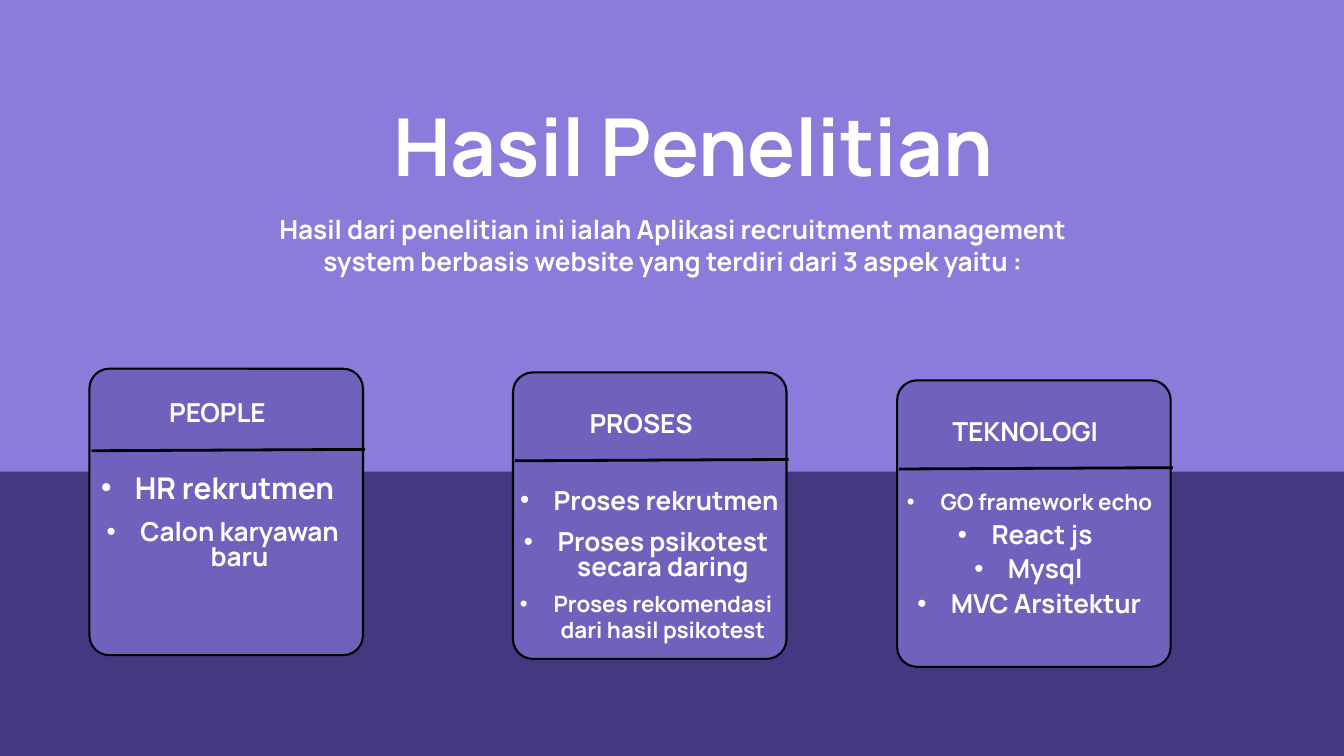
import lxml.etree
import pptx
import pptx.dml.color
import pptx.enum.shapes
import pptx.enum.text
import pptx.oxml.ns
import pptx.util

Cm = pptx.util.Cm
Pt = pptx.util.Pt
qn = pptx.oxml.ns.qn

COLORS = {
    "background": "8B7BDB",
    "band": "443880",
    "card": "7061BD",
    "outline": "000000",
    "text": "FFFFFF",
}
PAGE_WIDTH, PAGE_HEIGHT = 50.8, 28.58
BAND_TOP = 17.83
CARD_WIDTH, CARD_HEIGHT, CARD_RADIUS = 10.34, 10.83, 0.75

CARDS = [
    {
        "label": "PEOPLE", "left": 3.38, "top": 13.94,
        "label_top": 15.06, "rule_top": 17.04,
        "items": [
            ("HR rekrutmen", 32, 3.58, 18.14, 9.3, 1.04),
            ("Calon karyawan baru", 28, 3.05, 19.71, 10.74, 2.01),
        ],
    },
    {
        "label": "PROSES", "left": 19.39, "top": 14.08,
        "label_top": 15.47, "rule_top": 17.42,
        "items": [
            ("Proses rekrutmen", 28, 18.8, 18.52, 11.48, 0.99),
            ("Proses psikotest secara daring", 28, 19.05, 20.09, 10.74, 1.96),
            ("Proses rekomendasi dari hasil psikotest", 24, 19.05, 22.38, 10.74, 1.93),
        ],
    },
    {
        "label": "TEKNOLOGI", "left": 33.91, "top": 14.38,
        "label_top": 15.77, "rule_top": 17.73,
        "items": [
            ("GO framework echo", 24, 33.22, 18.52, 11.4, 0.97),
            ("React js", 28, 33.38, 19.84, 10.74, 0.99),
            ("Mysql", 28, 33.5, 21.11, 10.74, 0.99),
            ("MVC Arsitektur", 28, 33.53, 22.45, 10.74, 0.99),
        ],
    },
]


class SlideWriter:
    font_name = "Manrope"

    def __init__(self, page):
        self.page = page

    def color(self, name):
        return pptx.dml.color.RGBColor.from_string(COLORS[name])

    def background(self, name):
        fill = self.page.background.fill
        fill.solid()
        fill.fore_color.rgb = self.color(name)

    def panel(self, kind, fill, left, top, width, height):
        shape = self.page.shapes.add_shape(kind, Cm(left), Cm(top), Cm(width), Cm(height))
        shape.shadow.inherit = False
        shape.fill.solid()
        shape.fill.fore_color.rgb = self.color(fill)
        shape.line.fill.background()
        return shape

    def card(self, left, top):
        kind = pptx.enum.shapes.MSO_SHAPE.ROUNDED_RECTANGLE
        shape = self.panel(kind, "card", left, top, CARD_WIDTH, CARD_HEIGHT)
        shape.adjustments[0] = CARD_RADIUS / CARD_WIDTH
        shape.line.color.rgb = self.color("outline")
        shape.line.width = Pt(2.25)

    def rule(self, left, top):
        rule = self.page.shapes.add_connector(
            pptx.enum.shapes.MSO_CONNECTOR.STRAIGHT,
            Cm(left), Cm(top), Cm(left + CARD_WIDTH), Cm(top - 0.05),
        )
        rule.line.color.rgb = self.color("outline")
        rule.line.width = Pt(3)
        lxml.etree.SubElement(rule._element.spPr, qn("a:effectLst"))

    def text(self, words, size, left, top, width, height, spacing=None, bullet=False):
        box = self.page.shapes.add_textbox(Cm(left), Cm(top), Cm(width), Cm(height))
        frame = box.text_frame
        frame.word_wrap = True
        frame.auto_size = pptx.enum.text.MSO_AUTO_SIZE.SHAPE_TO_FIT_TEXT
        frame.margin_left = frame.margin_right = Cm(0)
        frame.margin_top = frame.margin_bottom = Cm(0)
        para = frame.paragraphs[0]
        para.text = words
        para.alignment = pptx.enum.text.PP_ALIGN.CENTER
        if spacing:
            para.line_spacing = Pt(spacing)
        if bullet:
            self.bullet(para)
        para.font.name = self.font_name
        para.font.size = Pt(size)
        para.font.bold = True
        para.font.color.rgb = self.color("text")

    def bullet(self, para):
        properties = para._p.get_or_add_pPr()
        properties.set("marL", str(Cm(1.27)))
        properties.set("indent", str(Cm(-1.27)))
        lxml.etree.SubElement(properties, qn("a:buFont"), typeface="Arial")
        lxml.etree.SubElement(properties, qn("a:buChar"), char="•")


def main():
    deck = pptx.Presentation()
    deck.slide_width, deck.slide_height = Cm(PAGE_WIDTH), Cm(PAGE_HEIGHT)
    writer = SlideWriter(deck.slides.add_slide(deck.slide_layouts[6]))

    writer.background("background")
    writer.panel(
        pptx.enum.shapes.MSO_SHAPE.RECTANGLE, "band",
        0, BAND_TOP, PAGE_WIDTH, PAGE_HEIGHT - BAND_TOP,
    )
    writer.text("Hasil Penelitian", 85.6, 10.64, 4.09, 31.12, 3.28, spacing=90.8)
    writer.text(
        "Hasil dari penelitian ini ialah Aplikasi recruitment management "
        "system berbasis website yang terdiri dari 3 aspek yaitu :",
        28, 9.86, 8.08, 31.12, 3.58,
    )
    for card in CARDS:
        left = card["left"]
        writer.card(left, card["top"])
        writer.text(
            card["label"], 28, left - 0.33, card["label_top"], CARD_WIDTH, 1.14, spacing=31.9
        )
        writer.rule(left + 0.08, card["rule_top"])
        for item in card["items"]:
            writer.text(*item, spacing=27.2, bullet=True)

    deck.save("out.pptx")


if __name__ == "__main__":
    main()
